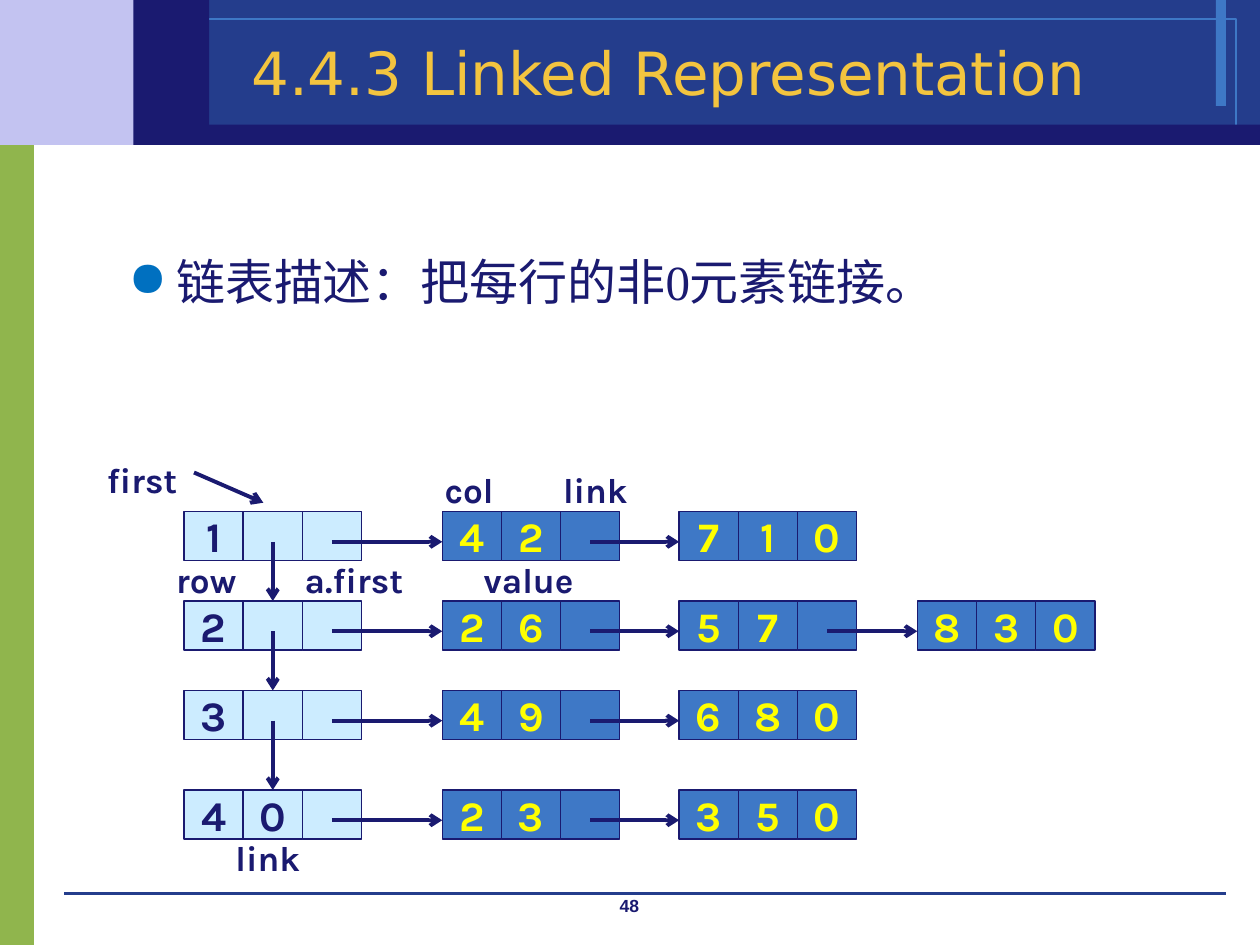
from lxml import etree
from pptx import Presentation, util as u
from pptx.dml.color import RGBColor
from pptx.enum import shapes, text
from pptx.oxml import ns

NAVY, ROYAL, BLUE, PALE = "1A1A70", "243D8C", "3E78C6", "CCECFF"
YELLOW = "FFFF00"
CELL_WIDTH, CELL_HEIGHT, LINK_DROP = 0.47, 0.39, 0.24
NODE_LEFTS = [1.46, 3.51, 5.39, 7.28]
ROWS = [
    (4.06, [["1", "", ""], ["4", "2", ""], ["7", "1", "0"]]),
    (4.77, [["2", "", ""], ["2", "6", ""], ["5", "7", ""], ["8", "3", "0"]]),
    (5.48, [["3", "", ""], ["4", "9", ""], ["6", "8", "0"]]),
    (6.27, [["4", "0", ""], ["2", "3", ""], ["3", "5", "0"]]),
]
BANDS = [
    (0, 1.07, 0.27, 6.43, "90B54D", None),
    (0, 0, 1.53, 1.15, "C3C3F1", None),
    (1.53, 0, 8.47, 1.15, ROYAL, None),
    (9.65, 0, 0.08, 0.84, BLUE, None),
    (1.19, 0.15, 8.62, 0.85, None, BLUE),
    (1.3, 0.99, 8.7, 0.16, NAVY, None),
    (1.06, 0, 0.6, 1.15, NAVY, None),
]
LABELS = [
    ("first", 0.75, 3.59, 0.79),
    ("col", 3.43, 3.67, 0.63),
    ("link", 4.37, 3.67, 0.79),
    ("value", 3.74, 4.38, 1.26),
    ("link", 1.77, 6.59, 0.87),
    ("row", 1.3, 4.38, 0.79),
    ("a.first", 2.32, 4.38, 1.26),
]


def color(value):
    """Return the colour for a hex string."""
    return RGBColor.from_string(value)


def set_values(target, values):
    """Set each named attribute on the target."""
    for name, value in values.items():
        setattr(target, name, value)


def write(shape, words, size, font, fill, bold=False, align=None, **frame):
    """Write one formatted paragraph in a shape and return it."""
    set_values(shape.text_frame, frame)
    paragraph = shape.text_frame.paragraphs[0]
    paragraph.alignment = align
    run = paragraph.add_run()
    run.text = words
    set_values(run.font, {"size": u.Pt(size), "name": font, "bold": bold})
    run.font.color.rgb = color(fill)
    return paragraph


def add_box(slide, left, top, width, height, fill=None, line=None, weight=0):
    """Add a flat rectangle with optional fill and outline."""
    shape = slide.shapes.add_shape(
        shapes.MSO_SHAPE.RECTANGLE, *map(u.Inches, (left, top, width, height)))
    shape.shadow.inherit = False
    for part, value in ((shape.fill, fill), (shape.line.fill, line)):
        if value:
            part.solid()
            part.fore_color.rgb = color(value)
        else:
            part.background()
    if line:
        shape.line.width = u.Pt(weight)
    return shape


def add_text(slide, words, left, top, width, height, size, font, **values):
    """Add a wrapping navy text box and return its paragraph."""
    shape = slide.shapes.add_textbox(*map(u.Inches, (left, top, width, height)))
    return write(shape, words, size, font, NAVY, word_wrap=True, **values)


def add_line(slide, start, end, fill=NAVY, weight=2.25, arrow=True):
    """Add a straight line, with an arrowhead at its end if wanted."""
    line = slide.shapes.add_connector(
        shapes.MSO_CONNECTOR.STRAIGHT, *map(u.Inches, (*start, *end)))
    line.line.color.rgb = color(fill)
    line.line.width = u.Pt(weight)
    if arrow:
        outline = line.line._get_or_add_ln()
        etree.SubElement(outline, ns.qn("a:tailEnd"), type="arrow")
    etree.SubElement(line.element.spPr, ns.qn("a:effectLst"))
    return line


def add_bullet(paragraph, indent, fill):
    """Give a paragraph a hanging round bullet."""
    properties = paragraph._p.get_or_add_pPr()
    properties.set("marL", str(u.Inches(indent)))
    properties.set("indent", str(-u.Inches(indent)))
    bullet_color = etree.SubElement(properties, ns.qn("a:buClr"))
    etree.SubElement(bullet_color, ns.qn("a:srgbClr"), val=fill)
    etree.SubElement(properties, ns.qn("a:buChar"), char="●")


def add_node(slide, left, top, values, fill, ink):
    """Add one list node as a row of cells and return the cells."""
    cells = []
    for index, value in enumerate(values):
        cell = add_box(slide, left + index * CELL_WIDTH, top,
                       CELL_WIDTH, CELL_HEIGHT, fill, NAVY, 0.75)
        if value:
            write(cell, value, 24, "Karla", ink, True, text.PP_ALIGN.CENTER,
                  word_wrap=False, vertical_anchor=text.MSO_ANCHOR.MIDDLE)
        cells.append(cell)
    return cells


def add_banner(slide):
    """Add the coloured bands, the footer rule and the title."""
    for band in BANDS:
        add_box(slide, *band)
    add_line(slide, (0.51, 7.09), (9.73, 7.09), ROYAL, 0, False)
    title = slide.shapes.title
    slide.shapes.element.append(title.element)
    set_values(title, {"left": u.Inches(1.19), "top": u.Inches(0.26),
                       "width": u.Inches(8.23), "height": u.Inches(0.62)})
    write(title, "4.4.3 Linked Representation", 34, "DejaVu Sans", "F3C43F",
          align=text.PP_ALIGN.CENTER, auto_size=text.MSO_AUTO_SIZE.NONE,
          vertical_anchor=text.MSO_ANCHOR.MIDDLE)


def add_lists(slide):
    """Add the row lists with their horizontal and vertical links."""
    heads = []
    for top, nodes in ROWS:
        for index, (left, values) in enumerate(zip(NODE_LEFTS, nodes)):
            fill, ink = (BLUE, YELLOW) if index else (PALE, NAVY)
            cells = add_node(slide, left, top, values, fill, ink)
            if index == 0:
                heads.append(cells[1])
    for top, nodes in ROWS:
        level = top + LINK_DROP
        for left, target in zip(NODE_LEFTS, NODE_LEFTS[1:len(nodes)]):
            add_line(slide, (left + 2.5 * CELL_WIDTH, level), (target, level))
    middle = NODE_LEFTS[0] + 1.5 * CELL_WIDTH
    for (top, _), (below, _), head in zip(ROWS, ROWS[1:], heads[1:]):
        link = add_line(slide, (middle, top + LINK_DROP), (middle, below))
        link.end_connect(head, 0)
    add_line(slide, (1.54, 3.75), (2.09, 3.99))


def main():
    """Build the slide and save it."""
    presentation = Presentation()
    set_values(presentation, {"slide_width": u.Inches(10),
                              "slide_height": u.Inches(7.5)})
    slide = presentation.slides.add_slide(presentation.slide_layouts[5])
    add_banner(slide)
    add_text(slide, "48", 3.83, 7.05, 2.33, 0.25, 10, "Arial", bold=True,
             align=text.PP_ALIGN.CENTER)
    paragraph = add_text(slide, "链表描述：把每行的非0元素链接。",
                         0.92, 2, 7.28, 4.76, 28, "Times New Roman")
    paragraph.line_spacing = 0.9
    add_bullet(paragraph, 0.38, "0070C0")
    add_lists(slide)
    for words, left, top, width in LABELS:
        add_text(slide, words, left, top, width, 0.43, 20, "Karla", bold=True)
    presentation.save("out.pptx")


if __name__ == "__main__":
    main()
